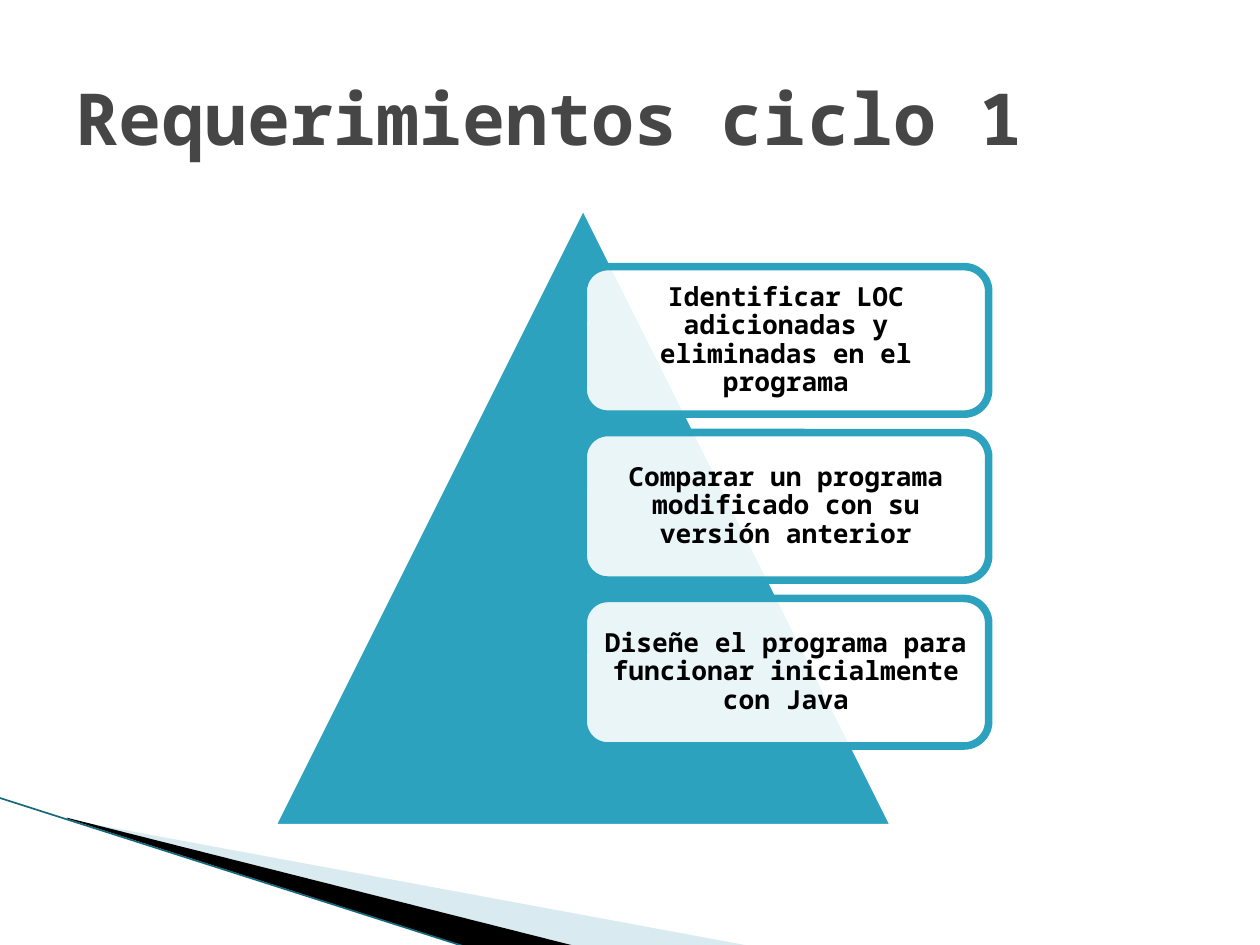
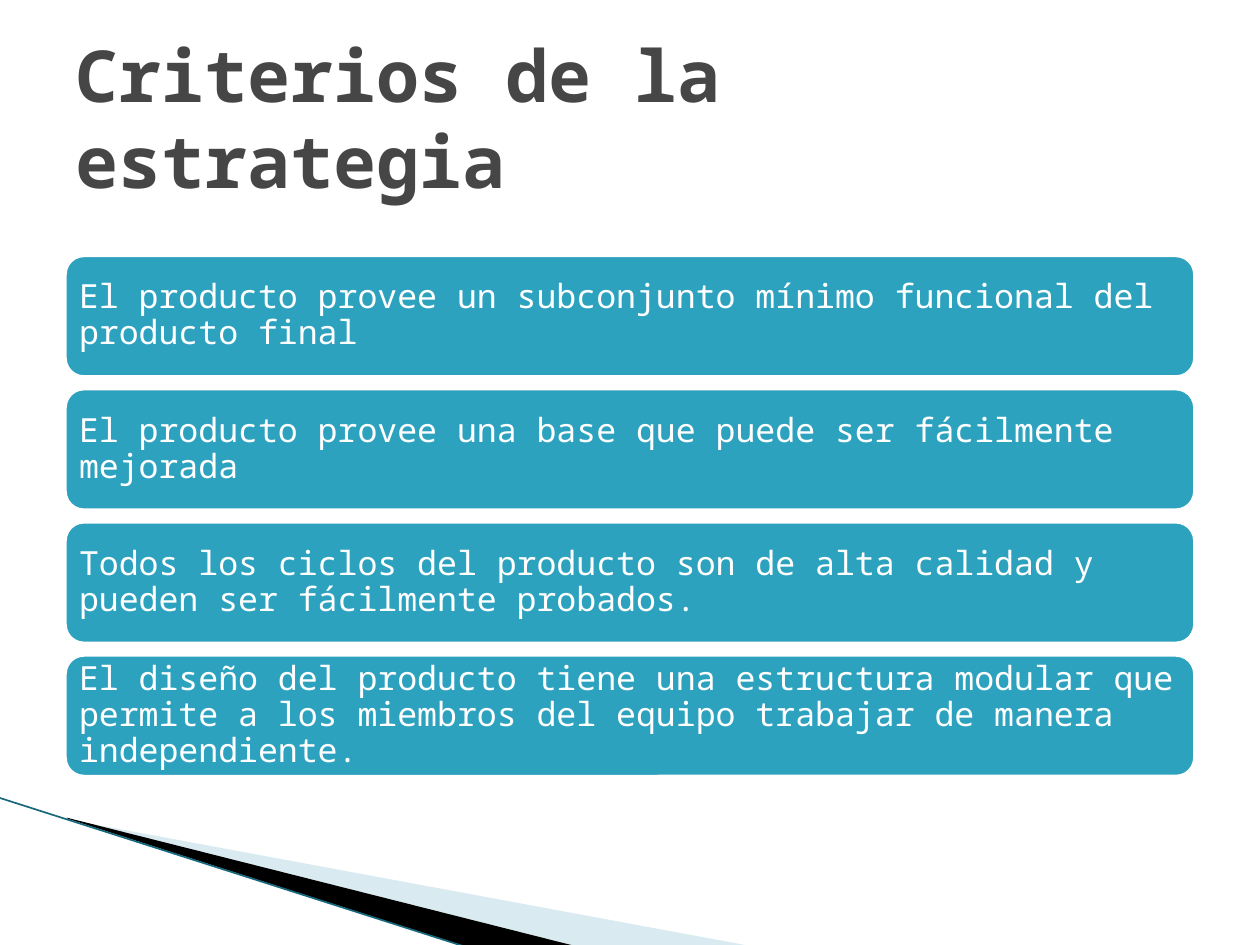
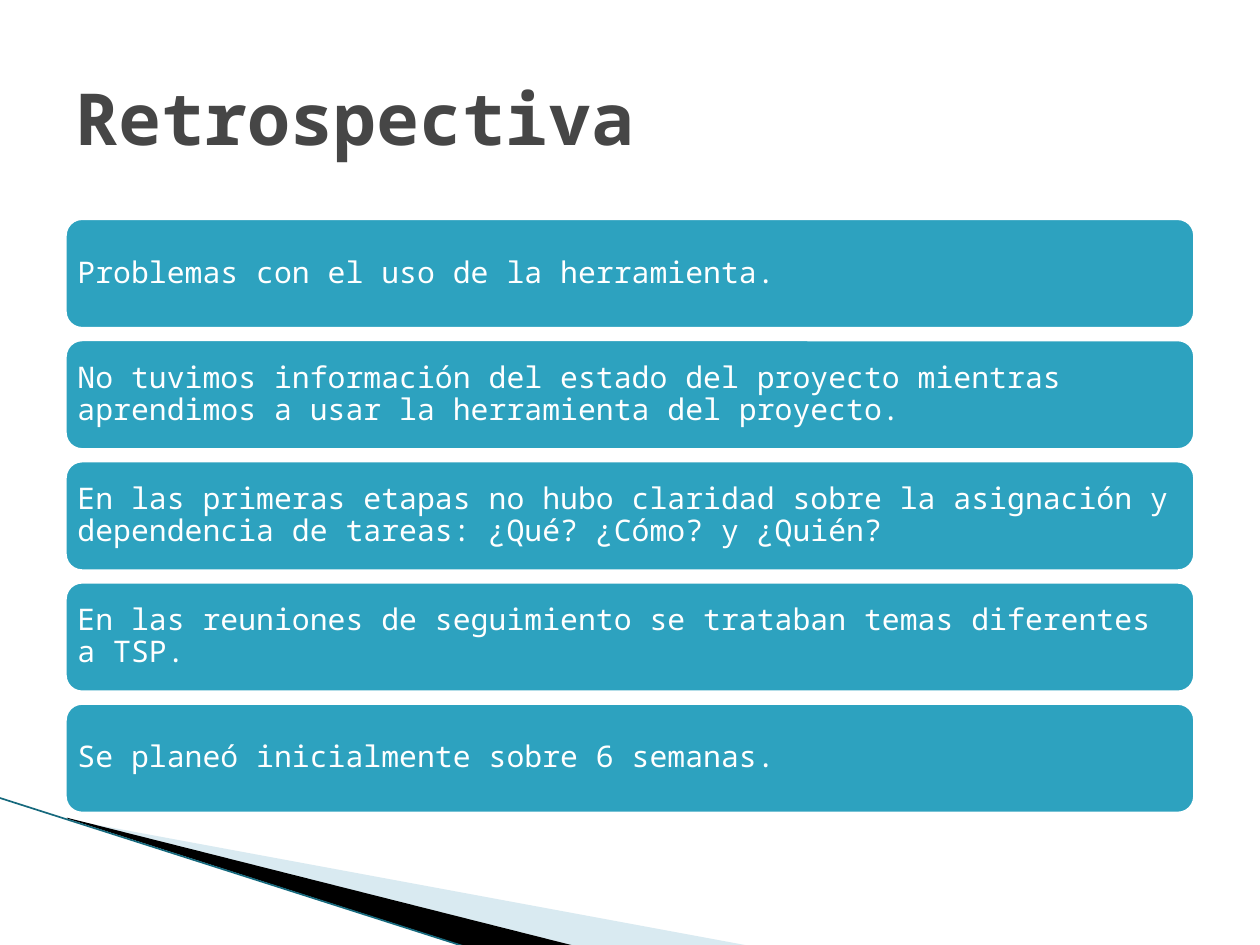
from dataclasses import dataclass

from lxml.etree import SubElement
from pptx import Presentation
from pptx.dml.color import RGBColor
from pptx.enum.shapes import MSO_CONNECTOR, MSO_SHAPE
from pptx.enum.text import MSO_ANCHOR, PP_ALIGN
from pptx.oxml.ns import qn
from pptx.util import Pt


@dataclass(frozen=True)
class Theme:
    """Colours and type sizes of the presentation."""
    font: str = "Noto Sans Mono"
    accent: str = "2DA2BF"
    white: str = "FFFFFF"
    black: str = "000000"
    title: str = "464646"
    pale_wedge: str = "A0CBDC"
    edge: str = "16697D"
    outline: float = 4.33
    title_size: int = 41
    pyramid_size: int = 15


class Deck:
    """Holds the style and the current slide."""

    def __init__(self, theme, width, height):
        self.theme = theme
        self.presentation = Presentation()
        self.presentation.slide_width = Pt(width)
        self.presentation.slide_height = Pt(height)
        self.slide = None

    def new_slide(self, title):
        layout = self.presentation.slide_layouts[6]
        self.slide = self.presentation.slides.add_slide(layout)
        self.corner()
        self.title(title)

    def corner(self):
        """Wedges and edge line at the bottom left."""
        theme = self.theme
        self.wedge([(39.6, 468.5), (428.4, 540.5), (328.3, 540.5), (39.6, 468)],
                   theme.pale_wedge, 40)
        self.wedge([(38.2, 467.3), (329, 540.7), (267.8, 541.4), (38.9, 468)],
                   theme.black)
        self.line((-0.7, 455.8), (267.1, 541.4), theme.edge, 0.95)

    def wedge(self, points, color, opacity=100):
        corners = [(Pt(x), Pt(y)) for x, y in points]
        builder = self.slide.shapes.build_freeform(*corners[0])
        builder.add_line_segments(corners[1:], close=True)
        shape = builder.convert_to_shape()
        shape.shadow.inherit = False
        shape.line.fill.background()
        self.fill(shape, color, opacity)

    def line(self, start, end, color, width):
        connector = self.slide.shapes.add_connector(
            MSO_CONNECTOR.STRAIGHT, *map(Pt, start + end))
        connector.line.color.rgb = RGBColor.from_string(color)
        connector.line.width = Pt(width)
        SubElement(connector._element.spPr, qn("a:effectLst"))

    def fill(self, shape, color, opacity=100):
        shape.fill.solid()
        shape.fill.fore_color.rgb = RGBColor.from_string(color)
        if opacity < 100:
            color_element = shape._element.spPr.find(
                qn("a:solidFill")).find(qn("a:srgbClr"))
            SubElement(color_element, qn("a:alpha"), val=str(opacity * 1000))

    def shape(self, kind, box, color, line_color, opacity=100):
        shape = self.slide.shapes.add_shape(kind, *map(Pt, box))
        shape.shadow.inherit = False
        self.fill(shape, color, opacity)
        shape.line.color.rgb = RGBColor.from_string(line_color)
        shape.line.width = Pt(self.theme.outline)
        return shape

    def label(self, shape, text, size, color, bold=False,
              frame_format=None, paragraph_format=None):
        frame = shape.text_frame
        frame.text = text
        paragraph = frame.paragraphs[0]
        formats = (
            (frame, {"word_wrap": True, "vertical_anchor": MSO_ANCHOR.MIDDLE,
                     **(frame_format or {})}),
            (paragraph, {"alignment": PP_ALIGN.LEFT, **(paragraph_format or {})}),
            (paragraph.runs[0].font,
             {"name": self.theme.font, "size": Pt(size), "bold": bold}),
        )
        for target, values in formats:
            for name, value in values.items():
                setattr(target, name, value)
        paragraph.runs[0].font.color.rgb = RGBColor.from_string(color)

    def title(self, text):
        box = self.slide.shapes.add_textbox(*map(Pt, (36, 21.6, 648, 90)))
        self.label(box, text, self.theme.title_size, self.theme.title, bold=True)

    def triangle(self, box):
        self.shape(MSO_SHAPE.ISOSCELES_TRIANGLE, box,
                   self.theme.accent, self.theme.white)

    def cards(self, texts, box, pitch, size, inset, fill, line, color,
              opacity=100, bold=False, alignment=PP_ALIGN.LEFT):
        """Column of equal rounded cards; box is the first one."""
        left, top, width, height = box
        margins = {f"margin_{side}": Pt(inset)
                   for side in ("left", "top", "right", "bottom")}
        for row, text in enumerate(texts):
            shape = self.shape(MSO_SHAPE.ROUNDED_RECTANGLE,
                               (left, top + row * pitch, width, height),
                               fill, line, opacity)
            self.label(shape, text, size, color, bold, margins,
                       {"alignment": alignment, "line_spacing": 0.9})

    def bars(self, texts, top, height, pitch, size, inset):
        """Full-width cards in the accent colour."""
        theme = self.theme
        self.cards(texts, (36, top, 648, height), pitch, size, inset,
                   theme.accent, theme.white, theme.white)


theme = Theme()
deck = Deck(theme, 720, 540)

# Requirements: cards over a pyramid
deck.new_slide("Requerimientos ciclo 1")
deck.triangle((155, 116.5, 356.4, 356.4))
deck.cards(
    ["Identificar LOC adicionadas y eliminadas en el programa",
     "Comparar un programa modificado con su versión anterior",
     "Diseñe el programa para funcionar inicialmente con Java"],
    (333.3, 152.4, 231.7, 84.3), 94.8, theme.pyramid_size, 4.5,
    theme.white, theme.accent, theme.black,
    opacity=90, bold=True, alignment=PP_ALIGN.CENTER)

# Strategy criteria
deck.new_slide("Criterios de la estrategia")
deck.bars(
    ["El producto provee un subconjunto mínimo funcional del producto final",
     "El producto provee una base que puede ser fácilmente mejorada",
     "Todos los ciclos del producto son de alta calidad y pueden ser "
     "fácilmente probados.",
     "El diseño del producto tiene una estructura modular que permite a los "
     "miembros del equipo trabajar de manera independiente."],
    top=144.8, height=71.8, pitch=76.1, size=19, inset=5.7)

# Retrospective
deck.new_slide("Retrospectiva")
deck.bars(
    ["Problemas con el uso de la herramienta.",
     "No tuvimos información del estado del proyecto mientras aprendimos a "
     "usar la herramienta del proyecto.",
     "En las primeras etapas no hubo claridad sobre la asignación y "
     "dependencia de tareas: ¿Qué? ¿Cómo? y ¿Quién?",
     "En las reuniones de seguimiento se trataban temas diferentes a TSP.",
     "Se planeó inicialmente sobre 6 semanas."],
    top=123.6, height=65.4, pitch=69.25, size=17, inset=5.1)

deck.presentation.save("out.pptx")
